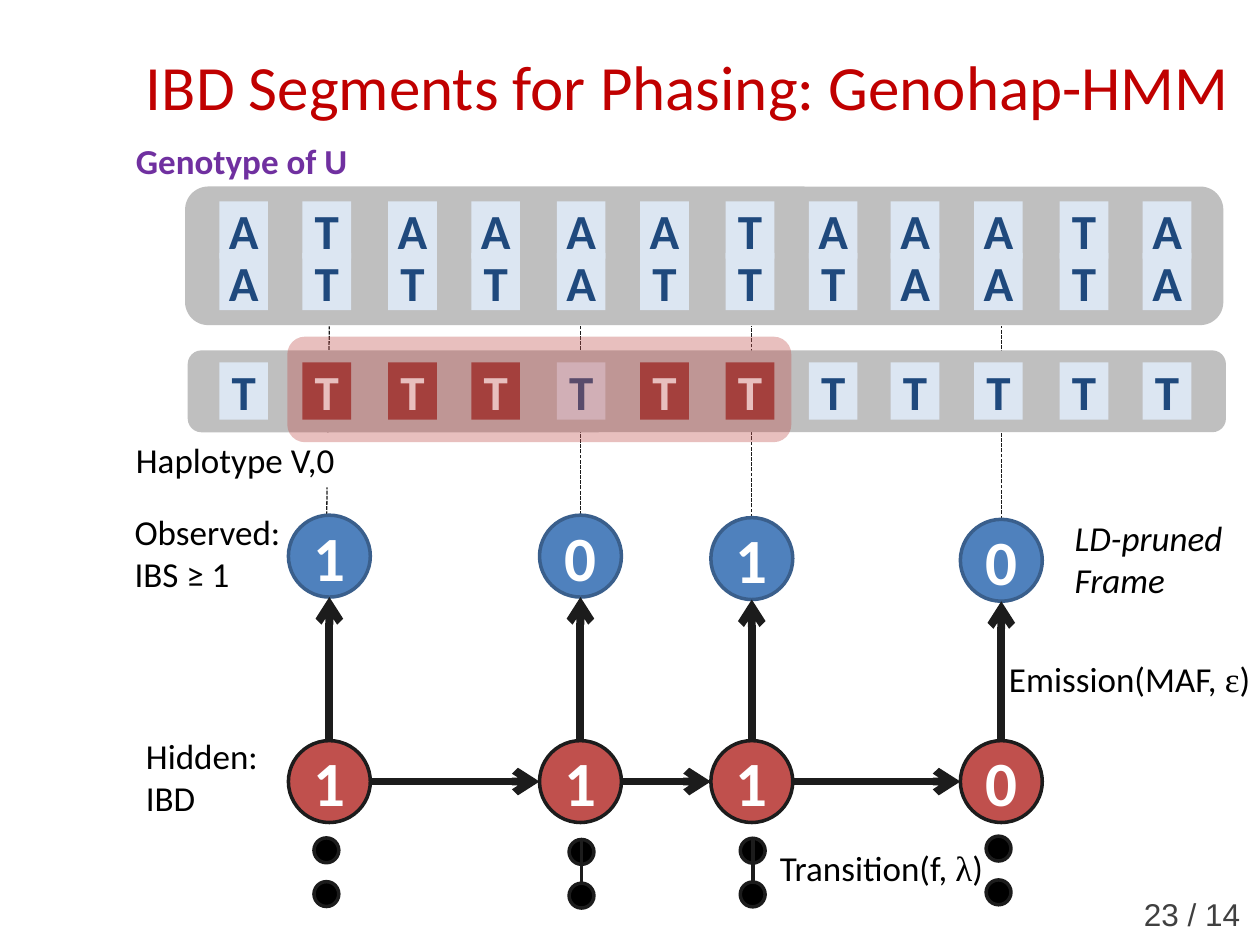
from itertools import pairwise

from lxml import etree
from pptx import Presentation
from pptx import util as u
from pptx.dml.color import RGBColor
from pptx.enum import dml, shapes, text
from pptx.oxml import ns

FONT = "Calibri"
BLACK, WHITE, INK = "000000", "FFFFFF", "1C1C1C"
GREY, PALE, NAVY = "BFBFBF", "DCE6F2", "1F497D"
BLUE, BLUE_EDGE, RED, DARK_RED = "4F81BD", "3A5F8C", "C0504D", "953735"

TILE_LEFTS = [125.3, 172.8, 221.8, 269.3, 318.2, 365.8,
              414.7, 462.2, 509, 556.6, 605.5, 653]
TILE_WIDTH = 27.8
GENOTYPE = ["ATAAAATAAATA", "ATTTATTTAATA"]
SHARED_SITES = {1, 2, 3, 5, 6}

NODE_SIZE, HIDDEN_TOP, DOT_SIZE, DOT_STEP = 46.8, 423.2, 14.2, 25
# centre, observed top, observed state, hidden state, dot left, dot top, dots joined
SITES = [
    (188.2, 294.4, "1", "1", 179.4, 478.8, False),
    (331.7, 294.4, "0", "1", 325.2, 479.7, True),
    (429.6, 295.8, "1", "1", 423, 479, True),
    (572.2, 296.8, "0", "0", 563.5, 477.8, False),
]


def color(value):
    return RGBColor.from_string(value)


def add_run(para, words, size, tint, font=FONT, bold=False, italic=False):
    span = para.add_run()
    span.text = words
    span.font.name = font
    span.font.size = u.Pt(size)
    span.font.bold = bold
    span.font.italic = italic
    span.font.color.rgb = color(tint)


def add_label(page, left, top, width, runs, height=31.5, size=20, tint=BLACK,
              fill=None, wrap=True, **style):
    """Add a text box; runs is a list of (words, font) pairs."""
    box = page.shapes.add_textbox(u.Pt(left), u.Pt(top), u.Pt(width), u.Pt(height))
    if fill:
        box.fill.solid()
        box.fill.fore_color.rgb = color(fill)
    frame = box.text_frame
    frame.word_wrap = wrap
    frame.auto_size = text.MSO_AUTO_SIZE.SHAPE_TO_FIT_TEXT
    for words, font in runs:
        add_run(frame.paragraphs[0], words, size, tint, font, **style)


def add_figure(parent, kind, left, top, width, height, fill, edge=None):
    figure = parent.shapes.add_shape(kind, u.Pt(left), u.Pt(top), u.Pt(width), u.Pt(height))
    figure.shadow.inherit = False
    figure.fill.solid()
    figure.fill.fore_color.rgb = color(fill)
    if edge:
        figure.line.color.rgb = color(edge)
        figure.line.width = u.Pt(2)
    else:
        figure.line.fill.background()
    return figure


def center_text(figure, words, size, tint):
    frame = figure.text_frame
    frame.vertical_anchor = text.MSO_ANCHOR.MIDDLE
    para = frame.paragraphs[0]
    para.alignment = text.PP_ALIGN.CENTER
    add_run(para, words, size, tint, bold=True)


def add_band(parent, left, top, width, height, fill=GREY):
    return add_figure(parent, shapes.MSO_SHAPE.ROUNDED_RECTANGLE, left, top, width, height, fill)


def add_tile(parent, site, top, letter, fill=PALE, tint=NAVY):
    tile = add_figure(parent, shapes.MSO_SHAPE.RECTANGLE,
                      TILE_LEFTS[site], top, TILE_WIDTH, 32.8, fill)
    frame = tile.text_frame
    frame.margin_left = frame.margin_right = frame.margin_top = frame.margin_bottom = 0
    frame.word_wrap = False
    center_text(tile, letter, 28, tint)


def add_node(page, center, top, state, fill, edge):
    node = add_figure(page, shapes.MSO_SHAPE.OVAL, center - NODE_SIZE / 2, top,
                      NODE_SIZE, NODE_SIZE, fill, edge)
    center_text(node, state, 36, WHITE)


def add_line(page, start, end, width, dashed=False, arrow=False):
    points = [u.Pt(value) for value in (*start, *end)]
    line = page.shapes.add_connector(shapes.MSO_CONNECTOR.STRAIGHT, *points)
    line.line.color.rgb = color(INK)
    line.line.width = u.Pt(width)
    if dashed:
        line.line.dash_style = dml.MSO_LINE.SQUARE_DOT
    if arrow:
        etree.SubElement(line.line._get_or_add_ln(), ns.qn("a:tailEnd"), type="arrow")
    etree.SubElement(line._element.spPr, ns.qn("a:effectLst"))


def set_title(page, words):
    title = page.shapes.title
    title.left, title.top, title.width, title.height = map(u.Pt, (69, 3.6, 648, 90))
    title.text_frame.vertical_anchor = text.MSO_ANCHOR.MIDDLE
    para = title.text_frame.paragraphs[0]
    para.alignment = text.PP_ALIGN.CENTER
    add_run(para, words, 36, "C00000")


def add_sequences(page):
    haplotype = page.shapes.add_group_shape()
    add_band(haplotype, 107.3, 200.2, 593.3, 46.8)
    for site in range(len(TILE_LEFTS)):
        if site not in SHARED_SITES:
            add_tile(haplotype, site, 207, "T")
    genotype = page.shapes.add_group_shape()
    add_band(genotype, 105.8, 106.6, 593.3, 79.2)
    for top, letters in reversed(list(zip((115, 144.5), GENOTYPE))):
        for site, letter in enumerate(letters):
            add_tile(genotype, site, top, letter)


def add_shared_segment(page):
    segment = page.shapes.add_group_shape()
    for site in sorted(SHARED_SITES):
        add_tile(segment, site, 207, "T", DARK_RED, WHITE)
    cover = add_band(page, 164.2, 192.4, 288, 60.3, RED)
    tint = cover.fill._xPr.find(ns.qn("a:solidFill"))[0]
    etree.SubElement(tint, ns.qn("a:alpha"), val="36000")


def add_model(page):
    half = NODE_SIZE / 2
    for center, top, observed, hidden, dot_left, dot_top, joined in SITES:
        add_node(page, center, top, observed, BLUE, BLUE_EDGE)
        add_node(page, center, HIDDEN_TOP, hidden, RED, INK)
        add_line(page, (center, HIDDEN_TOP), (center, top + NODE_SIZE), 4.5, arrow=True)
        for step in range(2):
            add_figure(page, shapes.MSO_SHAPE.OVAL, dot_left, dot_top + step * DOT_STEP,
                       DOT_SIZE, DOT_SIZE, BLACK, INK)
        if joined:
            middle = dot_left + DOT_SIZE / 2
            add_line(page, (middle, dot_top), (middle, dot_top + DOT_STEP), 2.25)
    for current, following in pairwise(site[0] for site in SITES):
        add_line(page, (current + half, HIDDEN_TOP + half),
                 (following - half, HIDDEN_TOP + half), 4.5, arrow=True)


def main():
    deck = Presentation()
    deck.slide_width, deck.slide_height = u.Pt(720), u.Pt(540)
    page = deck.slides.add_slide(deck.slide_layouts[5])

    set_title(page, "IBD Segments for Phasing: Genohap-HMM")
    add_label(page, 646.6, 507.6, 72, [("23 / 14", "Arial")], 29, 18, "404040", wrap=False)
    add_label(page, 70.6, 76.3, 177, [("Genotype of U", FONT)],
              tint="7030A0", fill=WHITE, bold=True)
    for index, (center, top, *_) in enumerate(SITES):
        lower = center - 1.5 if index == 0 else center
        add_line(page, (lower, top), (center, 186.5), 0.75, dashed=True)
    add_label(page, 70.6, 247, 170.6, [("Haplotype V,0", FONT)], fill=WHITE)
    add_sequences(page)
    add_model(page)
    add_label(page, 69.8, 288, 121.7, [("Observed: IBS ≥ 1", FONT)], 55.5)
    add_label(page, 76.3, 416.2, 82.8, [("Hidden: IBD", FONT)], 55.5)
    add_label(page, 569.5, 372.2, 153.4,
              [("Emission(MAF, ", FONT), ("ε", "Times New Roman"), (")", FONT)])
    add_label(page, 438.5, 480.2, 136.1,
              [("Transition(f, ", FONT), ("λ", "Times New Roman"), (")", FONT)])
    add_label(page, 607, 291.6, 121.7, [("LD-pruned Frame", FONT)], 55.5, italic=True)
    add_shared_segment(page)
    deck.save("out.pptx")


if __name__ == "__main__":
    main()
